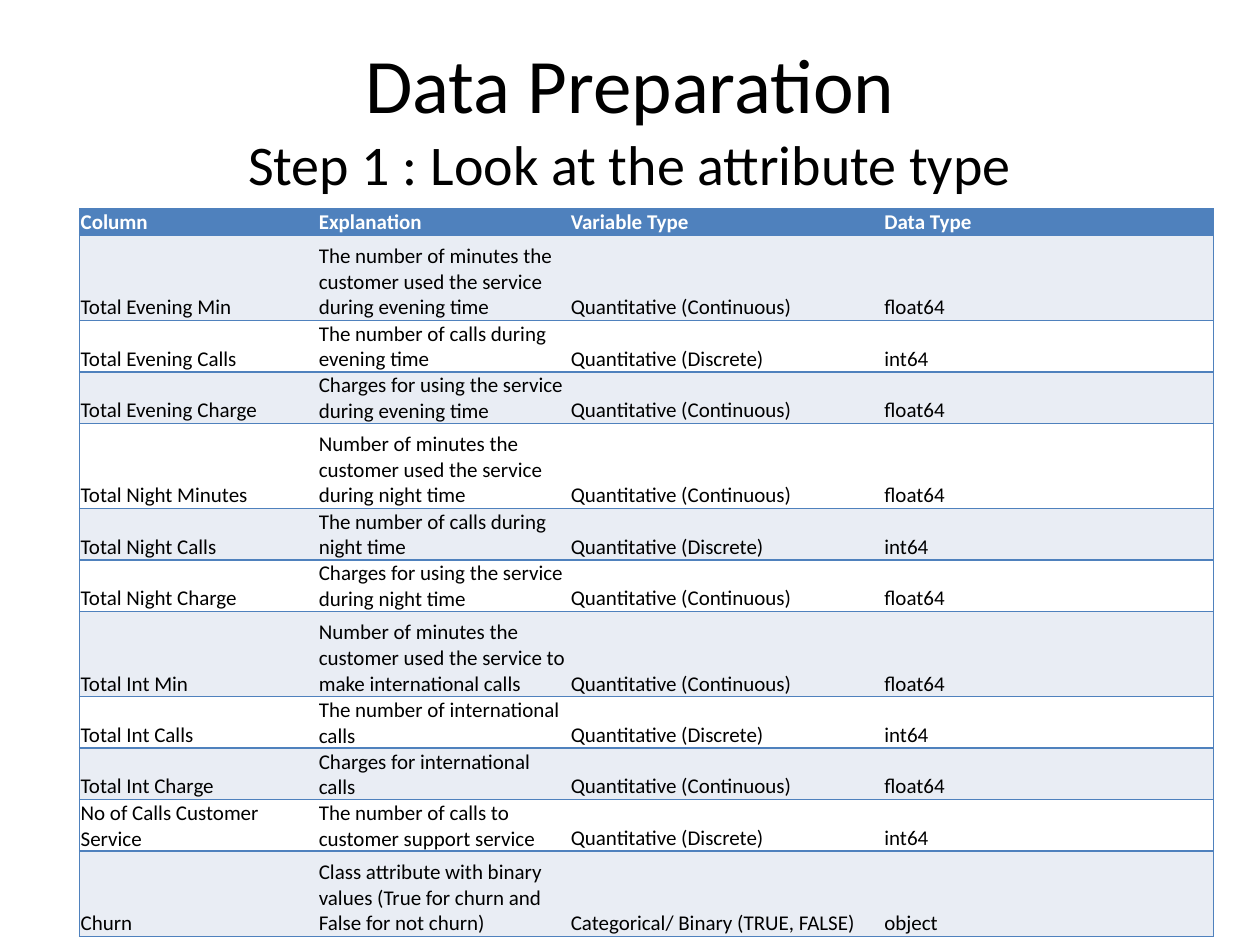
from lxml.etree import SubElement
from pptx import Presentation
from pptx.dml.color import RGBColor
from pptx.enum.text import MSO_ANCHOR, PP_ALIGN
from pptx.oxml.ns import qn
from pptx.util import Pt

COLORS = {"blue": "4F81BD", "band": "E9EDF4", "white": "FFFFFF", "black": "000000"}
FONT = "Calibri"


def format_run(r, size, color, bold=False):
    r.font.name = FONT
    r.font.size = Pt(size)
    r.font.bold = bold
    r.font.color.rgb = RGBColor.from_string(COLORS[color])


def add_border(cell, side, visible):
    ln = SubElement(cell._tc.get_or_add_tcPr(), qn(f"a:ln{side}"), w=str(Pt(1)))
    if visible:
        fill = SubElement(ln, qn("a:solidFill"))
        SubElement(fill, qn("a:srgbClr"), val=COLORS["blue"])
    else:
        SubElement(ln, qn("a:noFill"))


prs = Presentation()
prs.slide_width, prs.slide_height = Pt(720), Pt(540)
s = prs.slides.add_slide(prs.slide_layouts[6])

# Title with a smaller second line
sp = s.shapes.add_textbox(Pt(36), Pt(21.6), Pt(648), Pt(90))
tf = sp.text_frame
tf.word_wrap = True
tf.vertical_anchor = MSO_ANCHOR.MIDDLE
p = tf.paragraphs[0]
p.text = "Data Preparation\vStep 1 : Look at the attribute type"
p.alignment = PP_ALIGN.CENTER
for r, size in zip(p.runs, (44, 32)):
    format_run(r, size, "black")

# Attribute table: row height, then the cell texts
CONTINUOUS = ("Quantitative (Continuous)", "float64")
DISCRETE = ("Quantitative (Discrete)", "int64")
rows = [
    (10.8, "Column", "Explanation", "Variable Type", "Data Type"),
    (48.6, "Total Evening Min",
     "The number of minutes the customer used the service during evening time", *CONTINUOUS),
    (29.5, "Total Evening Calls", "The number of calls during evening time", *DISCRETE),
    (29.5, "Total Evening Charge",
     "Charges for using the service during evening time", *CONTINUOUS),
    (48.6, "Total Night Minutes",
     "Number of minutes the customer used the service during night time", *CONTINUOUS),
    (29.5, "Total Night Calls", "The number of calls during night time", *DISCRETE),
    (29.5, "Total Night Charge",
     "Charges for using the service during night time", *CONTINUOUS),
    (48.6, "Total Int Min",
     "Number of minutes the customer used the service to make international calls", *CONTINUOUS),
    (19.4, "Total Int Calls", "The number of international calls", *DISCRETE),
    (19.4, "Total Int Charge", "Charges for international calls", *CONTINUOUS),
    (29.5, "No of Calls Customer Service",
     "The number of calls to customer support service", *DISCRETE),
    (48.6, "Churn",
     "Class attribute with binary values (True for churn and False for not churn)",
     "Categorical/ Binary (TRUE, FALSE)", "object"),
]
widths = [136.1, 144, 179.2, 188.7]
last = len(widths) - 1

table = s.shapes.add_table(len(rows), len(widths), Pt(45.5), Pt(119.4),
                           Pt(sum(widths)), Pt(sum(row[0] for row in rows))).table
table.first_row = table.horz_banding = False
for column, width in zip(table.columns, widths):
    column.width = Pt(width)

for i, (height, *texts) in enumerate(rows):
    table.rows[i].height = Pt(height)
    header = i == 0
    fill = "blue" if header else "band" if i % 2 else "white"
    for j, text in enumerate(texts):
        cell = table.cell(i, j)
        cell.vertical_anchor = MSO_ANCHOR.BOTTOM
        cell.margin_left = cell.margin_right = cell.margin_top = Pt(0.6)
        cell.margin_bottom = Pt(0)
        # Outer frame and row lines only
        for side, visible in (("L", j == 0), ("R", j == last), ("T", True), ("B", True)):
            add_border(cell, side, visible)
        cell.fill.solid()
        cell.fill.fore_color.rgb = RGBColor.from_string(COLORS[fill])
        p = cell.text_frame.paragraphs[0]
        p.text = text
        format_run(p.runs[0], 12, "white" if header else "black", header)

prs.save("out.pptx")
